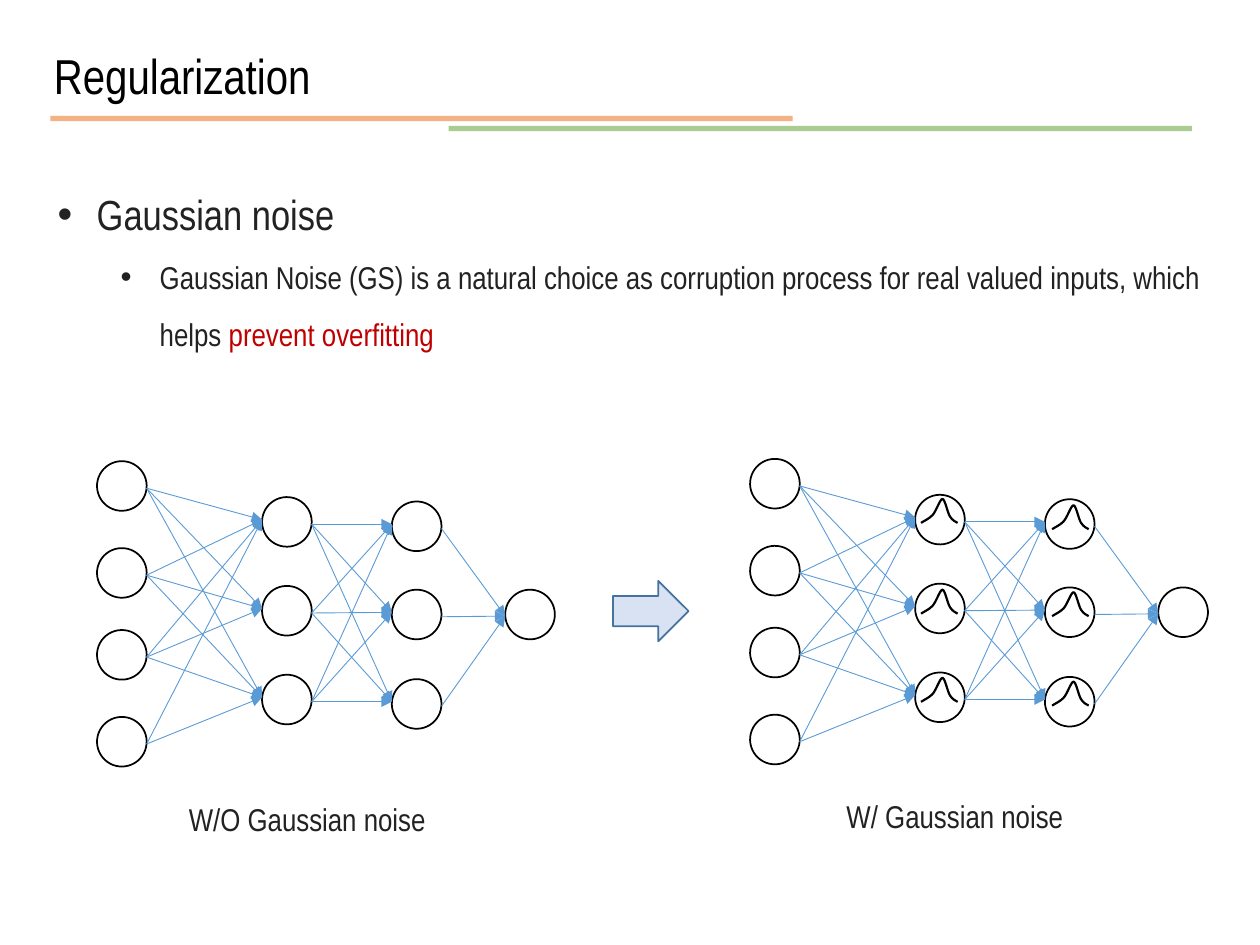
from lxml import etree
from pptx import Presentation
from pptx.dml.color import RGBColor
from pptx.enum.shapes import MSO_CONNECTOR, MSO_SHAPE
from pptx.enum.text import MSO_AUTO_SIZE
from pptx.oxml.ns import qn
from pptx.util import Inches, Pt

STRAIGHT = MSO_CONNECTOR.STRAIGHT
OVAL = MSO_SHAPE.OVAL
RIGHT_ARROW = MSO_SHAPE.RIGHT_ARROW
GROW = MSO_AUTO_SIZE.SHAPE_TO_FIT_TEXT
FONT = "Arial Narrow"
COLORS = {
    "orange": "ED7D31", "green": "70AD47", "title": "000000", "text": "222222",
    "red": "C00000", "edge": "5B9BD5", "node": "000000",
    "arrow": "4472C4", "arrow_line": "43739E",
}
RGB = {name: RGBColor.from_string(value) for name, value in COLORS.items()}

prs = Presentation()
prs.slide_width, prs.slide_height = Inches(10), Inches(7.5)
COL, ROW = prs.slide_width / 100, prs.slide_height / 75
s = prs.slides.add_slide(prs.slide_layouts[6])


def add_line(shapes, x1, y1, x2, y2, color, width):
    line = shapes.add_connector(
        STRAIGHT, int(x1 * COL), int(y1 * ROW), int(x2 * COL), int(y2 * ROW))
    line.line.color.rgb = RGB[color]
    line.line.width = Pt(width)
    etree.SubElement(line._element.spPr, qn("a:effectLst"))
    return line


def add_text(x, y, w, h, paragraphs):
    sp = s.shapes.add_textbox(int(x * COL), int(y * ROW), int(w * COL), int(h * ROW))
    tf = sp.text_frame
    tf.word_wrap = True
    tf.auto_size = GROW
    for i, (spacing, size, indent, runs) in enumerate(paragraphs):
        p = tf.paragraphs[0] if i == 0 else tf.add_paragraph()
        p.line_spacing = spacing
        if indent:
            p.level = i
            pPr = p._p.get_or_add_pPr()
            pPr.set("marL", str(Inches(indent)))
            pPr.set("indent", str(-Inches(0.31)))
            etree.SubElement(pPr, qn("a:buFont"), typeface="Arial")
            etree.SubElement(pPr, qn("a:buChar"), char="•")
        for text, color in runs:
            r = p.add_run()
            r.text = text
            r.font.name = FONT
            r.font.size = Pt(size)
            r.font.color.rgb = RGB[color]


rules = [add_line(s.shapes, 4, 9.4, 62.9, 9.4, "orange", 3),
         add_line(s.shapes, 35.6, 10.2, 94.6, 10.2, "green", 3)]

add_text(3.6, 12.5, 95.6, 15.6, [
    (1.5, 24, 0.31, [("Gaussian noise", "text")]),
    (1.5, 18, 0.81, [
        ("Gaussian Noise (GS) is a natural choice as corruption process "
         "for real valued inputs, which helps ", "text"),
        ("prevent overfitting", "red")]),
])
add_text(3.3, 0.8, 93.4, 7.2, [(1.5, 28, 0, [("Regularization", "title")])])

NODE = 3.94
LAYERS = [
    (7.7, [36.6, 43.5, 50, 56.9], 275.8),
    (20.8, [39.45, 46.5, 53.55], 275.8),
    (31.1, [39.8, 46.8, 53.9], 275.8),
    (40.1, [46.8], 266.6),
]
ARRIVALS = [1.8, 1.8, 2.1]
MISSING_EDGE = (0, 3, 1)

for dx, dy in [(0, 0), (51.83, -0.18)]:
    network = s.shapes.add_group_shape().shapes
    for x, tops, angle in LAYERS:
        for top in tops:
            node = network.add_shape(OVAL, int((x + dx) * COL), int((top + dy) * ROW),
                                     int(NODE * COL), int(NODE * ROW))
            node.rotation = angle
            node.shadow.inherit = False
            node.fill.background()
            node.line.color.rgb = RGB["node"]
            node.line.width = Pt(1)
    for layer, arrival in enumerate(ARRIVALS):
        (x1, starts, _), (x2, ends, _) = LAYERS[layer:layer + 2]
        for i, start in enumerate(starts):
            for j, end in enumerate(ends):
                if (layer, i, j) == MISSING_EDGE:
                    continue
                edge = add_line(network, x1 + NODE + dx, start + 2.15 + dy,
                                x2 + dx, end + arrival + dy, "edge", 0.5)
                etree.SubElement(edge.line._get_or_add_ln(), qn("a:tailEnd"), type="triangle")

arrow = s.shapes.add_shape(RIGHT_ARROW, int(48.65 * COL), int(46.1 * ROW),
                           int(6 * COL), int(4.8 * ROW))
arrow.shadow.inherit = False
arrow.fill.solid()
arrow.fill.fore_color.rgb = RGB["arrow"]
arrow.line.color.rgb = RGB["arrow_line"]
arrow.line.width = Pt(1)

for shape, opacity in [(rules[0], 60), (rules[1], 60), (arrow, 20)]:
    color = next(shape._element.spPr.iter(qn("a:srgbClr")))
    etree.SubElement(color, qn("a:alpha"), val=str(opacity * 1000))

add_text(14, 63, 21.7, 4, [(1, 18, 0, [("W/O Gaussian noise", "text")])])
add_text(66.2, 62.8, 21.7, 4, [(1, 18, 0, [("W/ Gaussian noise", "text")])])

BELL = [
    (0, 1.9),
    (0.3, 1.7), (0.6, 1.6), (0.9, 1.3),
    (1.2, 1), (1.5, 0), (1.7, 0),
    (1.9, 0), (2.1, 1.1), (2.3, 1.4),
    (2.5, 1.7), (2.7, 1.8), (2.9, 1.9),
]

for left, tops in [(73.1, [39.6, 46.8, 53.8]), (83.5, [40.1, 47, 54.1])]:
    for top in tops:
        points = [(int((left + x) * COL), int((top + y) * ROW)) for x, y in BELL]
        builder = s.shapes.build_freeform(*points[0])
        builder.add_line_segments(points[1:], close=False)
        bell = builder.convert_to_shape()
        outline = next(bell._element.spPr.iter(qn("a:path")))
        segments = outline.findall(qn("a:lnTo"))
        for k in range(0, len(segments), 3):
            curve = etree.SubElement(outline, qn("a:cubicBezTo"))
            for segment in segments[k:k + 3]:
                curve.append(segment[0])
                outline.remove(segment)
        bell.shadow.inherit = False
        bell.fill.background()
        bell.line.color.rgb = RGB["node"]
        bell.line.width = Pt(1.25)

prs.save("out.pptx")
